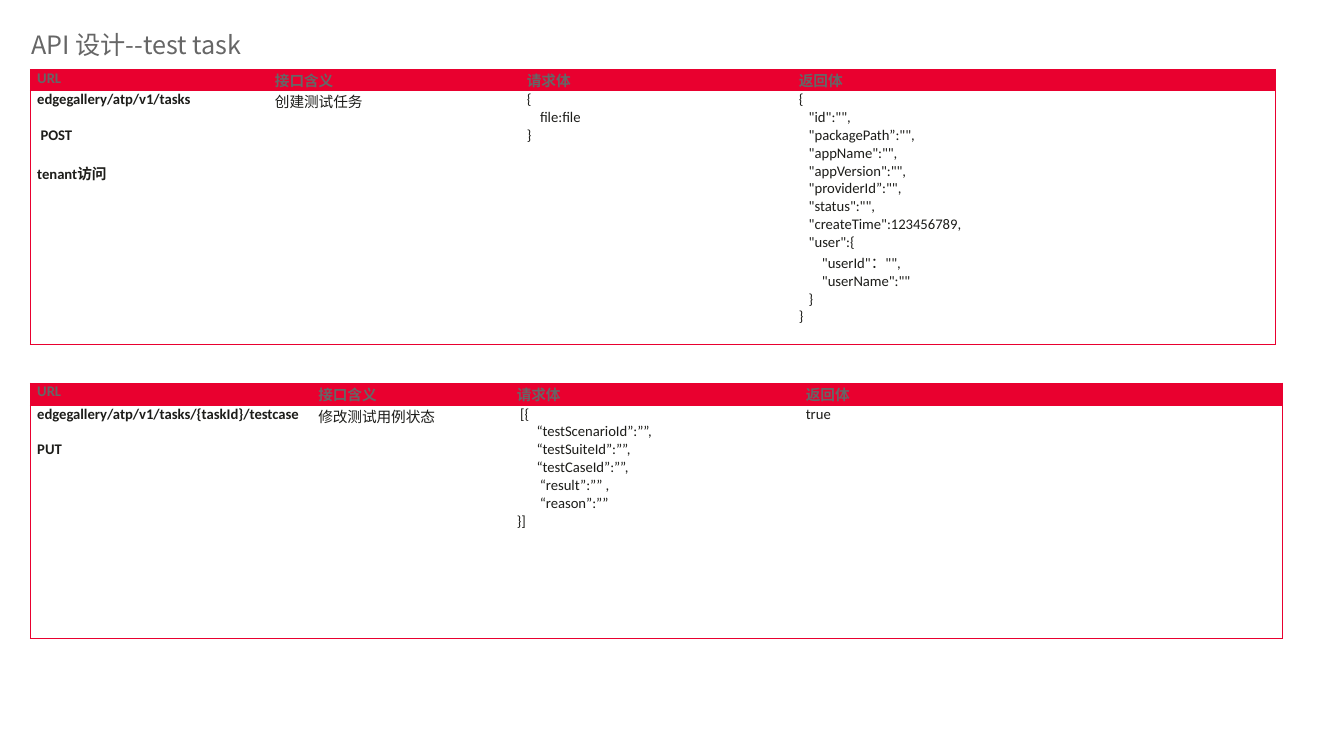
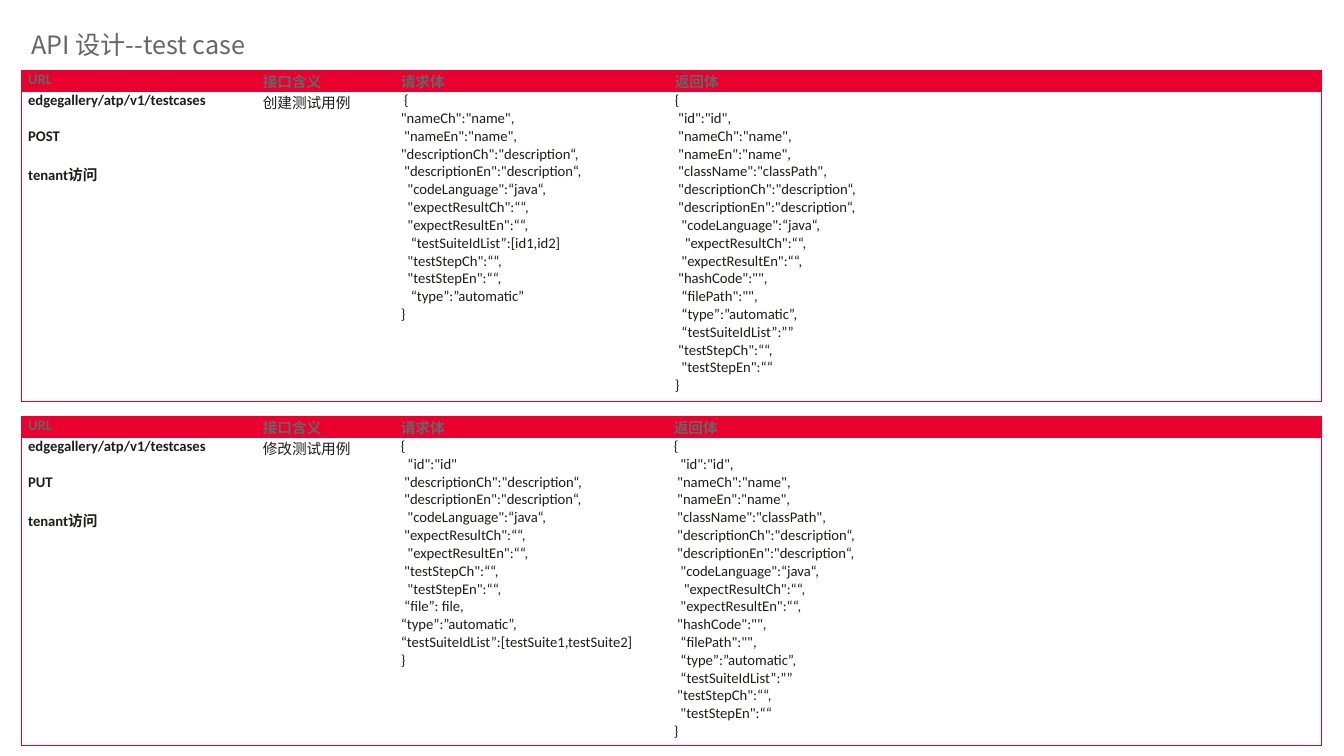
from dataclasses import dataclass

from pptx import Presentation
from pptx.dml.color import RGBColor
from pptx.enum.text import MSO_ANCHOR, MSO_AUTO_SIZE, PP_ALIGN
from pptx.oxml.ns import qn
from pptx.util import Inches, Pt
from lxml.etree import SubElement

COLORS = {"red": "E9002F", "grey": "666666", "ink": "1D1D1A"}
TITLE_FONT = "Noto Sans CJK SC"
TABLE_FONT = "Calibri"
TABLE_SIZE = Pt(10.5)
LINE_GAP = Pt(12.8)
CELL_INSET = Inches(0.07)
TITLE_ONLY = 5
HEADINGS = ("URL", "接口含义", "请求体", "返回体")

TASK_REQUEST = """{
    file:file
}"""

TASK_RESPONSE = """{
   "id":"",
   "packagePath”:"",
   "appName":"",
   "appVersion":"",
   "providerId”:"",
   "status":"",
   "createTime":123456789,
   "user":{
       "userId"："",
       "userName":""
   }
}"""

STATUS_REQUEST = """ [{
      “testScenarioId”:””,
      “testSuiteId”:””,
      “testCaseId”:””,
       “result”:”” ,
       “reason”:””
}]"""

CREATE_CASE_REQUEST = """ {
"nameCh":"name",
 "nameEn":"name",
"descriptionCh":"description“,
 "descriptionEn":"description“,
  "codeLanguage":“java“,
  "expectResultCh":““,
  "expectResultEn":““,
   “testSuiteIdList”:[id1,id2]
  "testStepCh":““,
  "testStepEn":““,
   “type”:”automatic”
}"""

UPDATE_CASE_REQUEST = """{
  “id":"id"
 "descriptionCh":"description“,
 "descriptionEn":"description“,
  "codeLanguage":“java“,
 "expectResultCh":““,
  "expectResultEn":““,
 "testStepCh":““,
  "testStepEn":““,
 “file”: file,
“type”:”automatic”,
“testSuiteIdList”:[testSuite1,testSuite2]
}"""

CREATE_CASE_RESPONSE = """{
 "id":"id",
 "nameCh":"name",
 "nameEn":"name",
 "className":"classPath",
 "descriptionCh":"description“,
 "descriptionEn":"description“,
  "codeLanguage":“java“,
   "expectResultCh":““,
  "expectResultEn":““,
 "hashCode":"",
  “filePath":"",
  “type”:”automatic”,
  “testSuiteIdList”:””
 "testStepCh":““,
  "testStepEn":““
}"""
UPDATE_CASE_RESPONSE = CREATE_CASE_RESPONSE.replace(' "id":', '  "id":')


@dataclass(frozen=True)
class Endpoint:
    left: float
    top: float
    columns: tuple[float, ...]
    rows: tuple[float, float]
    address: str
    meaning: str
    request: str
    response: str


@dataclass(frozen=True)
class ApiPage:
    title: str
    title_height: float
    endpoints: tuple[Endpoint, ...]


PAGES = (
    ApiPage("API 设计--test task", 0.52, (
        Endpoint(0.3, 0.69, (2.36, 2.5, 2.7, 4.8), (0.16, 2.52),
                 "edgegallery/atp/v1/tasks\n POST\ntenant访问",
                 "创建测试任务", TASK_REQUEST, TASK_RESPONSE),
        Endpoint(0.3, 3.8, (2.79, 1.97, 2.87, 4.8), (0.22, 2.31),
                 "edgegallery/atp/v1/tasks/{taskId}/testcase\nPUT",
                 "修改测试用例状态", STATUS_REQUEST, "true"),
    )),
    ApiPage("API 设计--test case", 1.05, (
        Endpoint(0.21, 0.7, (2.33, 1.37, 2.72, 6.49), (0.17, 3.07),
                 "edgegallery/atp/v1/testcases\nPOST\ntenant访问",
                 "创建测试用例", CREATE_CASE_REQUEST, CREATE_CASE_RESPONSE),
        Endpoint(0.21, 4.13, (2.33, 1.37, 2.71, 6.5), (0.17, 3.05),
                 "edgegallery/atp/v1/testcases\nPUT\ntenant访问",
                 "修改测试用例", UPDATE_CASE_REQUEST, UPDATE_CASE_RESPONSE),
    )),
)


def rgb(name: str) -> RGBColor:
    return RGBColor.from_string(COLORS[name])


def set_borders(cell, sides: str) -> None:
    """Draw red lines on the given sides (letters of LRTB) and clear the others."""
    properties = cell._tc.get_or_add_tcPr()
    for side in "LRTB":
        line = SubElement(properties, qn(f"a:ln{side}"), w=str(Pt(0.5)))
        if side in sides:
            fill = SubElement(line, qn("a:solidFill"))
            SubElement(fill, qn("a:srgbClr"), val=COLORS["red"])
        else:
            SubElement(line, qn("a:noFill"))


def write_cell(cell, text: str, color: str, bold: bool, gap: int = 0) -> None:
    cell.margin_left = cell.margin_right = CELL_INSET
    cell.margin_top = cell.margin_bottom = 0
    frame = cell.text_frame
    for index, line in enumerate(text.split("\n")):
        para = frame.add_paragraph() if index else frame.paragraphs[0]
        para.text = line
        para.alignment = PP_ALIGN.JUSTIFY
        if index and gap:
            para.space_before = gap
        para.font.name = TABLE_FONT
        para.font.size = TABLE_SIZE
        para.font.bold = bold
        para.font.color.rgb = rgb(color)


def add_endpoint(page, endpoint: Endpoint) -> None:
    table = page.shapes.add_table(
        2, len(HEADINGS), Inches(endpoint.left), Inches(endpoint.top),
        Inches(sum(endpoint.columns)), Inches(sum(endpoint.rows))).table
    table.first_row = table.horz_banding = False
    for row, height in zip(table.rows, endpoint.rows):
        row.height = Inches(height)
    bodies = (endpoint.address, endpoint.meaning, endpoint.request, endpoint.response)
    last = len(HEADINGS) - 1
    for index, (width, heading, body) in enumerate(zip(endpoint.columns, HEADINGS, bodies)):
        table.columns[index].width = Inches(width)
        sides = "TB" + ("L" if index == 0 else "") + ("R" if index == last else "")
        head_cell, body_cell = table.cell(0, index), table.cell(1, index)
        set_borders(head_cell, sides)
        head_cell.fill.solid()
        head_cell.fill.fore_color.rgb = rgb("red")
        write_cell(head_cell, heading, "grey", True)
        set_borders(body_cell, sides)
        body_cell.fill.background()
        is_address = index == 0
        write_cell(body_cell, body, "ink", is_address, LINE_GAP if is_address else 0)


def set_title(page, text: str, height: float) -> None:
    title = page.shapes.title
    title.left, title.top = Inches(0.21), Inches(0.06)
    title.width, title.height = Inches(3.72), Inches(height)
    frame = title.text_frame
    frame.text = text
    frame.word_wrap = True
    frame.auto_size = MSO_AUTO_SIZE.NONE
    frame.vertical_anchor = MSO_ANCHOR.TOP
    para = frame.paragraphs[0]
    para.alignment = PP_ALIGN.LEFT
    para.line_spacing = Pt(34.4)
    para.font.name = TITLE_FONT
    para.font.size = Pt(18)
    para.font.color.rgb = rgb("grey")


def main() -> None:
    deck = Presentation()
    deck.slide_width, deck.slide_height = Inches(13.34), Inches(7.5)
    for api_page in PAGES:
        page = deck.slides.add_slide(deck.slide_layouts[TITLE_ONLY])
        set_title(page, api_page.title, api_page.title_height)
        for endpoint in api_page.endpoints:
            add_endpoint(page, endpoint)
    deck.save("out.pptx")


if __name__ == "__main__":
    main()
